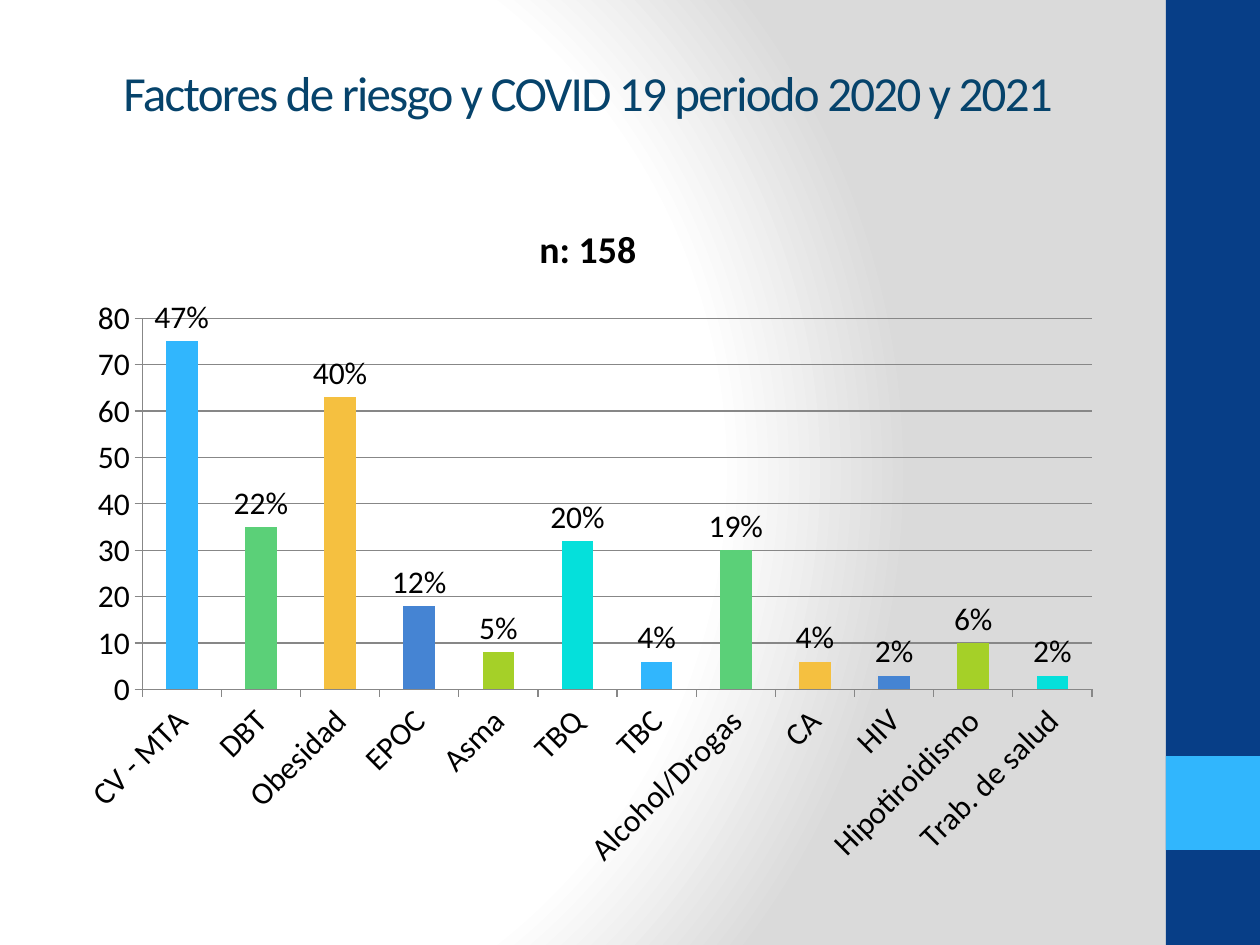
from pptx import Presentation
from pptx.chart.data import CategoryChartData
from pptx.dml.color import RGBColor
from pptx.enum.chart import XL_CHART_TYPE, XL_LABEL_POSITION, XL_TICK_MARK
from pptx.enum.shapes import MSO_SHAPE
from pptx.enum.text import MSO_ANCHOR, PP_ALIGN
from pptx.oxml import parse_xml
from pptx.oxml.ns import nsdecls, qn
from pptx.util import Emu, Pt

COLUMN = XL_CHART_TYPE.COLUMN_CLUSTERED
ABOVE = XL_LABEL_POSITION.OUTSIDE_END
OUT = XL_TICK_MARK.OUTSIDE
NONE = XL_TICK_MARK.NONE
RECT = MSO_SHAPE.RECTANGLE
MIDDLE = MSO_ANCHOR.MIDDLE
CENTER = PP_ALIGN.CENTER

TITLE = "Factores de riesgo y COVID 19 periodo 2020 y 2021"
COUNT = "n: 158"
FACTORS = [
    ("CV - MTA", 75, "47%"),
    ("DBT", 35, "22%"),
    ("Obesidad", 63, "40%"),
    ("EPOC", 18, "12%"),
    ("Asma", 8, "5%"),
    ("TBQ", 32, "20%"),
    ("TBC", 6, "4%"),
    ("Alcohol/Drogas", 30, "19%"),
    ("CA", 6, "4%"),
    ("HIV", 3, "2%"),
    ("Hipotiroidismo", 10, "6%"),
    ("Trab. de salud", 3, "2%"),
]

THEME = {
    "font": "Calibri",
    "title": "06436B", "text": "000000", "line": "878787",
    "band": "073E87", "block": "31B6FD",
    "bars": ["31B6FD", "5BD078", "F5C040", "4584D3", "A5D028", "05E0DB"],
    "back": [(0, "FFFFFF"), (75, "FFFFFF"), (100, "DADADA")],
    "title_pt": 28, "count_pt": 21.6, "chart_pt": 18,
}

PX = 914400 / 126
WIDTH, HEIGHT = 1260, 945
BAND_X, BAND_W = 1166, 94
BLOCK_Y = 756
LEFT, SPAN = 63, 1050
TITLE_BOX = (LEFT, 38, SPAN, 107)
CHART_BOX = (LEFT, 195, SPAN, 687)


def px(*sizes):
    return [Emu(round(size * PX)) for size in sizes]


def style(font, size, color=THEME["text"], bold=False):
    font.name = THEME["font"]
    font.size = Pt(size)
    font.bold = bold
    font.color.rgb = RGBColor.from_string(color)


def write(frame, text, size, color=THEME["text"], bold=False, track=None):
    """Put one formatted run in a text frame; track is letter spacing in points."""
    para = frame.paragraphs[0]
    para.alignment = CENTER
    run = para.add_run()
    run.text = text
    style(run.font, size, color, bold)
    if track is not None:
        run.font._element.set("spc", str(track * 100))


def paint(slide):
    """Give the slide a round gradient, centred left of the middle."""
    fill = slide.background.fill
    fill.gradient()
    old = slide.element.find(".//" + qn("a:gradFill"))
    stops = "".join(
        f'<a:gs pos="{pos * 1000}"><a:srgbClr val="{color}"/></a:gs>'
        for pos, color in THEME["back"])
    new = parse_xml(
        f'<a:gradFill {nsdecls("a")} rotWithShape="1"><a:gsLst>{stops}</a:gsLst>'
        '<a:path path="circle"><a:fillToRect l="20000" t="50000" '
        'r="100000" b="50000"/></a:path></a:gradFill>')
    old.getparent().replace(old, new)


def block(slide, box, color):
    shape = slide.shapes.add_shape(RECT, *px(*box))
    shape.shadow.inherit = False
    shape.fill.solid()
    shape.fill.fore_color.rgb = RGBColor.from_string(color)
    shape.line.fill.background()


def rule(line):
    line.color.rgb = RGBColor.from_string(THEME["line"])
    line.width = Pt(0.75)


def plot(slide):
    data = CategoryChartData()
    data.categories = [name for name, _, _ in FACTORS]
    data.add_series("Series 1", [value for _, value, _ in FACTORS])
    chart = slide.shapes.add_chart(COLUMN, *px(*CHART_BOX), data).chart
    style(chart.font, THEME["chart_pt"])
    chart.has_legend = False
    chart.has_title = True
    write(chart.chart_title.text_frame, COUNT, THEME["count_pt"], bold=True)
    chart.chart_title.include_in_layout = False

    for axis in (chart.category_axis, chart.value_axis):
        axis.major_tick_mark = OUT
        axis.minor_tick_mark = NONE
        rule(axis.format.line)
        style(axis.tick_labels.font, THEME["chart_pt"])
    turn = chart.category_axis._element.find(".//" + qn("a:bodyPr"))
    turn.set("rot", "-2700000")
    axis = chart.value_axis
    axis.minimum_scale, axis.maximum_scale, axis.major_unit = 0, 80, 10
    axis.has_major_gridlines = True
    rule(axis.major_gridlines.format.line)

    bars = chart.plots[0]
    bars.gap_width = 150
    bars.vary_by_categories = False
    series = bars.series[0]
    series.invert_if_negative = False
    colors = THEME["bars"]
    for i, (_, _, share) in enumerate(FACTORS):
        point = series.points[i]
        point.format.fill.solid()
        point.format.fill.fore_color.rgb = RGBColor.from_string(colors[i % len(colors)])
        write(point.data_label.text_frame, share, THEME["chart_pt"])
        point.data_label.position = ABOVE


def main():
    deck = Presentation()
    deck.slide_width, deck.slide_height = px(WIDTH, HEIGHT)
    slide = deck.slides.add_slide(deck.slide_layouts[5])
    paint(slide)
    block(slide, (BAND_X, 0, BAND_W, HEIGHT), THEME["band"])
    block(slide, (BAND_X, BLOCK_Y, BAND_W, BAND_W), THEME["block"])

    title = slide.shapes.title
    title.left, title.top, title.width, title.height = px(*TITLE_BOX)
    title.text_frame.vertical_anchor = MIDDLE
    title.text_frame.word_wrap = True
    write(title.text_frame, TITLE, THEME["title_pt"], THEME["title"], track=-1)
    plot(slide)
    deck.save("out.pptx")


if __name__ == "__main__":
    main()
